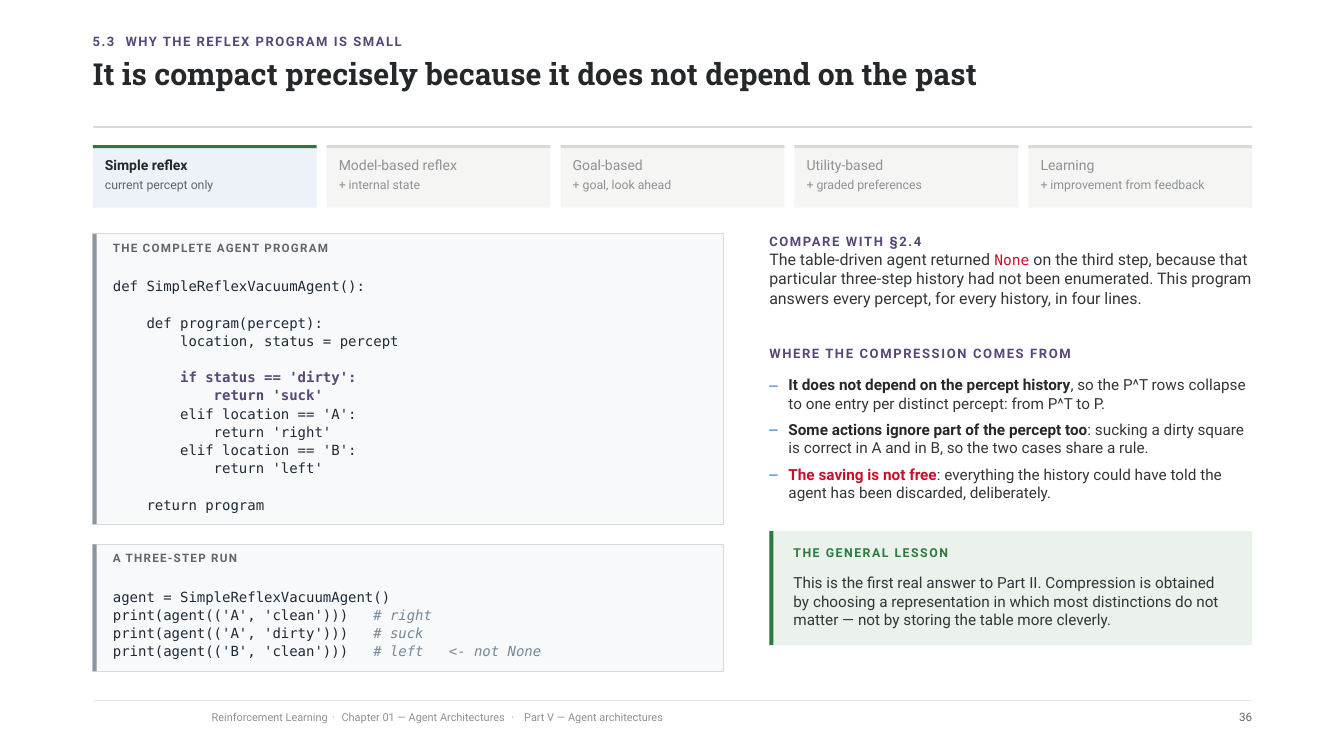
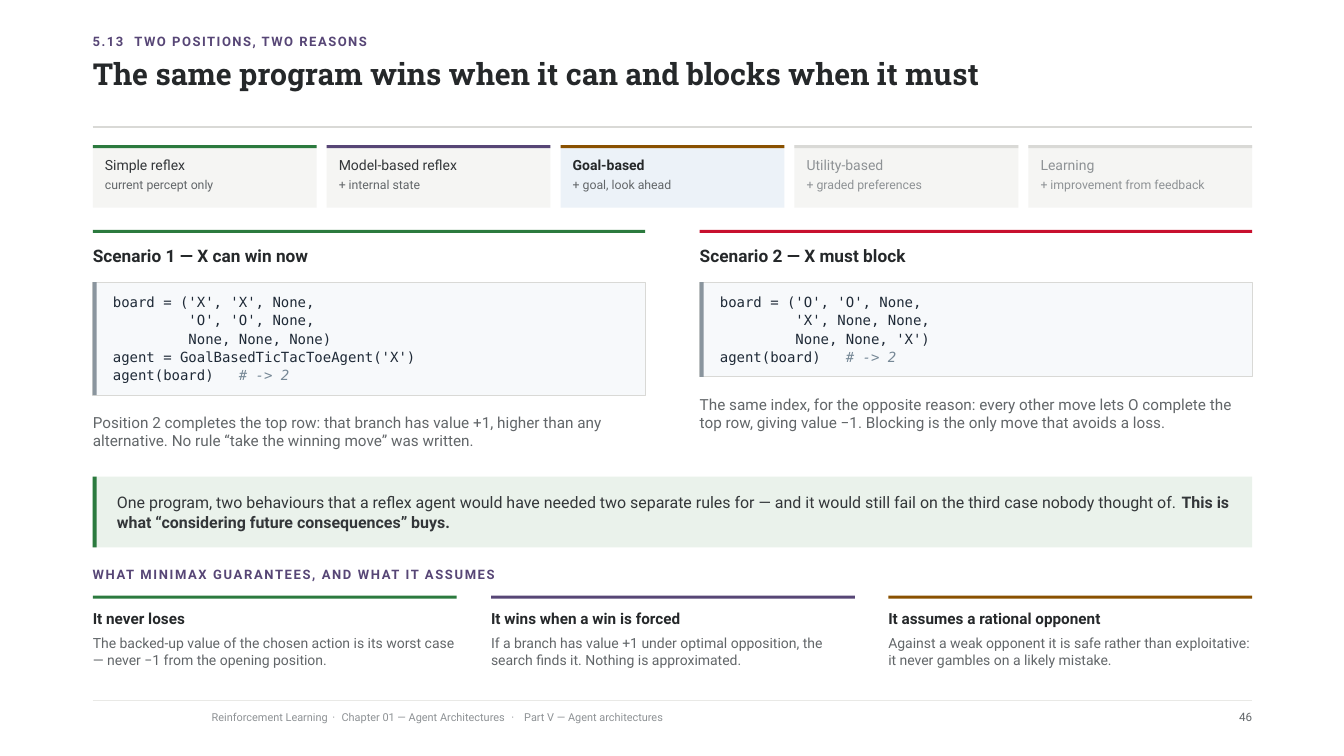
from lxml import etree
from pptx import Presentation, util as u
from pptx.dml.color import RGBColor
from pptx.enum import shapes, text
from pptx.oxml.ns import qn

PX = 9144  # EMU: 100 px to the inch
LEFT, WIDE = 92, 1150
LINE = 18  # height of a line of code

INK = RGBColor(0x25, 0x28, 0x2A)
BODY = RGBColor(0x33, 0x36, 0x39)
MUTED = RGBColor(0x62, 0x66, 0x69)
FAINT = RGBColor(0x8E, 0x92, 0x95)
VIOLET = RGBColor(0x57, 0x46, 0x76)
GREEN = RGBColor(0x2B, 0x7A, 0x3E)
BROWN = RGBColor(0x8A, 0x51, 0x00)
RED = RGBColor(0xC8, 0x10, 0x2E)
BLUE = RGBColor(0x19, 0x71, 0xC2)
CODE = RGBColor(0x1F, 0x2A, 0x37)
NOTE = RGBColor(0x76, 0x88, 0x96)
SLATE = RGBColor(0x8A, 0x95, 0x9E)
RULE = RGBColor(0xD9, 0xD9, 0xD6)
HAIR = RGBColor(0xE9, 0xE9, 0xE6)
PALE = RGBColor(0xF5, 0xF5, 0xF3)
SKY = RGBColor(0xEC, 0xF2, 0xF8)
MIST = RGBColor(0xF7, 0xF9, 0xFB)
MINT = RGBColor(0xEA, 0xF2, 0xEB)

MONO = "DejaVu Sans Mono"


def style(size, lead, color, **more):
    return {"size": size, "lead": lead, "color": color, "name": "Roboto", **more}


TITLE = style(21.6, 22.5, INK, name="Roboto Slab", bold=True)
KICKER = style(9.3, 9.3, VIOLET, bold=True, spc=1.1)
LABEL = {**KICKER, "spc": 1.2}
FOOT = style(7.8, 7.8, FAINT)
PAGE = style(8.3, 8.3, MUTED, align=text.PP_ALIGN.RIGHT)
HEAD = style(8.3, 8.3, MUTED, bold=True, spc=0.9)
LISTING = style(10, 13, CODE, name=MONO)
ITEM = style(10.9, 12.9, BODY, bullet="–")
PLAIN = style(10.9, 13.1, BODY)
QUIET = {**PLAIN, "color": MUTED}
STRONG = {"bold": True}

STAGES = [
    ("Simple reflex", "current percept only", GREEN),
    ("Model-based reflex", "+ internal state", VIOLET),
    ("Goal-based", "+ goal, look ahead", BROWN),
    ("Utility-based", "+ graded preferences", RULE),
    ("Learning", "+ improvement from feedback", RULE),
]

PROGRAM = """def SimpleReflexVacuumAgent():

    def program(percept):
        location, status = percept

        if status == 'dirty':
            return 'suck'
        elif location == 'A':
            return 'right'
        elif location == 'B':
            return 'left'

    return program"""

TRIAL = """agent = SimpleReflexVacuumAgent()
print(agent(('A', 'clean')))   # right
print(agent(('A', 'dirty')))   # suck
print(agent(('B', 'clean')))   # left   <- not None"""

WIN = """board = ('X', 'X', None,
         'O', 'O', None,
         None, None, None)
agent = GoalBasedTicTacToeAgent('X')
agent(board)   # -> 2"""

BLOCK = """board = ('O', 'O', None,
         'X', None, None,
         None, None, 'X')
agent(board)   # -> 2"""


def px(*sizes):
    return [size * PX for size in sizes]


def grid(count, gap):
    """Left edge and width of equal columns across the page."""
    width = (WIDE - gap * (count - 1)) / count
    return [(round(LEFT + i * (width + gap)), round(width)) for i in range(count)]


def add_run(para, words, look):
    run = para.add_run()
    run.text = words
    for key in ("name", "bold", "italic"):
        setattr(run.font, key, look.get(key, False))
    run.font.size = u.Pt(look["size"])
    run.font.color.rgb = look["color"]
    if "spc" in look:
        run._r.get_or_add_rPr().set("spc", str(round(look["spc"] * 100)))


def add_bullet(para, mark):
    props = para._p.get_or_add_pPr()
    props.set("marL", str(19 * PX))
    props.set("indent", str(-19 * PX))
    tint = etree.SubElement(props, qn("a:buClr"))
    etree.SubElement(tint, qn("a:srgbClr")).set("val", str(BLUE))
    etree.SubElement(props, qn("a:buChar")).set("char", mark)


def write(frame, paras):
    """Fill a frame; a paragraph is (style, words or [(words, changes)])."""
    setup = {"margin_left": 0, "margin_right": 0, "margin_top": 0,
             "margin_bottom": 0, "word_wrap": True,
             "auto_size": text.MSO_AUTO_SIZE.NONE,
             "vertical_anchor": text.MSO_ANCHOR.TOP}
    for key, value in setup.items():
        setattr(frame, key, value)
    for i, (look, runs) in enumerate(paras):
        para = frame.add_paragraph() if i else frame.paragraphs[0]
        para.alignment = look.get("align", text.PP_ALIGN.LEFT)
        para.line_spacing = u.Pt(look["lead"])
        para.space_before = u.Pt(look.get("before", 0))
        if "bullet" in look:
            add_bullet(para, look["bullet"])
        for words, change in [(runs, {})] if isinstance(runs, str) else runs:
            add_run(para, words, {**look, **change})


def add_text(slide, box, *paras):
    write(slide.shapes.add_textbox(*px(*box)).text_frame, paras)


def fill_holder(holder, box, *paras):
    holder.left, holder.top, holder.width, holder.height = px(*box)
    write(holder.text_frame, paras)


def add_rect(slide, box, fill, line=None):
    rect = slide.shapes.add_shape(shapes.MSO_SHAPE.RECTANGLE, *px(*box))
    rect.shadow.inherit = False
    rect.fill.solid()
    rect.fill.fore_color.rgb = fill
    if line is None:
        rect.line.fill.background()
    else:
        rect.line.color.rgb = line
        rect.line.width = u.Pt(0.75)


def add_rule(slide, y, color):
    ends = px(LEFT, y, LEFT + WIDE, y)
    rule = slide.shapes.add_connector(shapes.MSO_CONNECTOR.STRAIGHT, *ends)
    rule.line.color.rgb = color
    rule.line.width = u.Pt(0.75)
    etree.SubElement(rule._element.spPr, qn("a:effectLst"))


def add_panel(slide, box, fill, bar, line=None):
    x, y, _, h = box
    add_rect(slide, box, fill, line)
    add_rect(slide, (x, y, 4, h), bar)


def add_code(slide, x, y, width, code, head=None, marked=()):
    """Draw a code panel as tall as its lines need; return its lower edge."""
    lines = code.split("\n")
    top = 42 if head else 10
    high = len(lines) * LINE + top + 12
    add_panel(slide, (x, y, width, high), MIST, SLATE, RULE)
    if head:
        add_text(slide, (x + 20, y + 9, width - 40, 22), (HEAD, head))
    paras, before = [], 0
    for line in lines:
        if not line:
            before = LISTING["lead"]
            continue
        look = {**LISTING, "before": before}
        if line.strip() in marked:
            look.update(color=VIOLET, bold=True)
        main, sign, note = line.partition("#")
        runs = [(main, {})]
        if sign:
            runs.append((sign + note, {"color": NOTE, "italic": True}))
        paras.append((look, runs))
        before = 0
    add_text(slide, (x + 20, y + top, width - 34, high - top - 8), *paras)
    return y + high


def add_stages(slide, now):
    for i, (x, width) in enumerate(grid(len(STAGES), 10)):
        name, gist, accent = STAGES[i]
        add_rect(slide, (x, 144, width, 62), SKY if i == now else PALE)
        add_rect(slide, (x, 144, width, 3), accent if i <= now else RULE)
        color = INK if i == now else BODY if i < now else FAINT
        sub = MUTED if i <= now else FAINT
        add_text(slide, (x + 12, 156, width - 24, 38),
                 (style(10, 11.8, color, bold=i == now), name),
                 (style(8.8, 9.9, sub, before=3), gist))


def add_page(deck, layout, number, kicker, title, page, now):
    """Start a slide with its heading, stage strip and footer."""
    slide = deck.slides.add_slide(deck.slide_layouts[layout])
    add_text(slide, (LEFT, 36, WIDE, 22),
             (KICKER, [(number, {}), (" ", {"spc": 4.5}), (kicker, {})]))
    fill_holder(slide.shapes.title, (LEFT, 60, WIDE, 52), (TITLE, title))
    add_rule(slide, 126, RULE)
    add_rule(slide, 695, HAIR)
    add_text(slide, (210, 707, 910, 22), (FOOT, [
        ("Reinforcement Learning", {}), (" · ", {"spc": 1.3}),
        ("Chapter 01 — Agent Architectures", {}), (" · ", {"spc": 2.6}),
        ("Part V — Agent architectures", {})]))
    add_text(slide, (1122, 707, 120, 22), (PAGE, page))
    add_stages(slide, now)
    return slide


def draw_reflex(deck):
    slide = add_page(deck, 1, "5.3", "WHY THE REFLEX PROGRAM IS SMALL",
                     "It is compact precisely because it does not depend on the past",
                     "36", 0)
    end = add_code(slide, LEFT, 232, 626, PROGRAM, "THE COMPLETE AGENT PROGRAM",
                   ("if status == 'dirty':", "return 'suck'"))
    add_code(slide, LEFT, end + 20, 626, TRIAL, "A THREE-STEP RUN")

    x, width = 763, 479
    add_text(slide, (x, 232, width, 87),
             ({**LABEL, "lead": 11}, "COMPARE WITH §2.4"),
             (style(11.4, 13.9, BODY), [
                 ("The table-driven agent returned ", {}),
                 ("None", {"size": 10.4, "name": MONO, "color": RED}),
                 (" on the third step, because that particular three-step history "
                  "had not been enumerated. This program answers every percept, "
                  "for every history, in four lines.", {})]))
    add_text(slide, (x, 345, width, 20), (LABEL, "WHERE THE COMPRESSION COMES FROM"))
    points = [
        ("It does not depend on the percept history", INK,
         ", so the P^T rows collapse to one entry per distinct percept: from P^T to P."),
        ("Some actions ignore part of the percept too", INK,
         ": sucking a dirty square is correct in A and in B, so the two cases share a rule."),
        ("The saving is not free", RED,
         ": everything the history could have told the agent has been discarded, deliberately."),
    ]
    fill_holder(slide.placeholders[1], (x, 373, width, 128), *(
        ({**ITEM, "before": 6 if i else 0},
         [(lead, {"bold": True, "color": color}), (rest, {})])
        for i, (lead, color, rest) in enumerate(points)))
    add_panel(slide, (x, 527, width, 113), MINT, GREEN)
    add_text(slide, (x + 24, 543, 447, 20),
             (style(8.8, 8.8, GREEN, bold=True, spc=1.1), "THE GENERAL LESSON"))
    add_text(slide, (x + 24, 569, 437, 55), (
        PLAIN, "This is the first real answer to Part II. Compression is obtained by "
        "choosing a representation in which most distinctions do not matter — not by "
        "storing the table more cleverly."))


def draw_goal(deck):
    slide = add_page(deck, 5, "5.13", "TWO POSITIONS, TWO REASONS",
                     "The same program wins when it can and blocks when it must",
                     "46", 2)
    cases = [
        ("Scenario 1 — X can win now", GREEN, WIN,
         "Position 2 completes the top row: that branch has value +1, higher than any "
         "alternative. No rule “take the winning move” was written."),
        ("Scenario 2 — X must block", RED, BLOCK,
         "The same index, for the opposite reason: every other move lets O complete the "
         "top row, giving value −1. Blocking is the only move that avoids a loss."),
    ]
    for (x, width), (name, color, code, why) in zip(grid(2, 55), cases):
        add_rect(slide, (x, 228, width, 3), color)
        add_text(slide, (x, 244, width, 24), (style(12.3, 14.6, INK, bold=True), name))
        end = add_code(slide, x, 280, width, code)
        add_text(slide, (x, end + 18, width, 40), (QUIET, why))

    add_panel(slide, (LEFT, 473, WIDE, 70), MINT, GREEN)
    add_text(slide, (LEFT + 24, 489, 1108, 38), (style(11.4, 13.7, BODY), [
        ("One program, two behaviours that a reflex agent would have needed two separate "
         "rules for — and it would still fail on the third case nobody thought of. ", {}),
        ("This is what “considering future consequences” buys.", STRONG)]))

    add_text(slide, (LEFT, 565, 600, 20),
             (LABEL, "WHAT MINIMAX GUARANTEES, AND WHAT IT ASSUMES"))
    claims = [
        ("It never loses", GREEN,
         "The backed-up value of the chosen action is its worst case — never −1 from "
         "the opening position."),
        ("It wins when a win is forced", VIOLET,
         "If a branch has value +1 under optimal opposition, the search finds it. "
         "Nothing is approximated."),
        ("It assumes a rational opponent", BROWN,
         "Against a weak opponent it is safe rather than exploitative: it never gambles "
         "on a likely mistake."),
    ]
    for (x, width), (name, color, why) in zip(grid(3, 34), claims):
        add_rect(slide, (x, 591, width, 3), color)
        add_text(slide, (x, 605, width, 62),
                 (style(10.9, 12.9, INK, bold=True), name),
                 (style(10, 11.8, MUTED, before=5), why))


def main():
    deck = Presentation()
    deck.slide_width, deck.slide_height = px(1333, 750)
    draw_reflex(deck)
    draw_goal(deck)
    deck.save("out.pptx")


if __name__ == "__main__":
    main()
